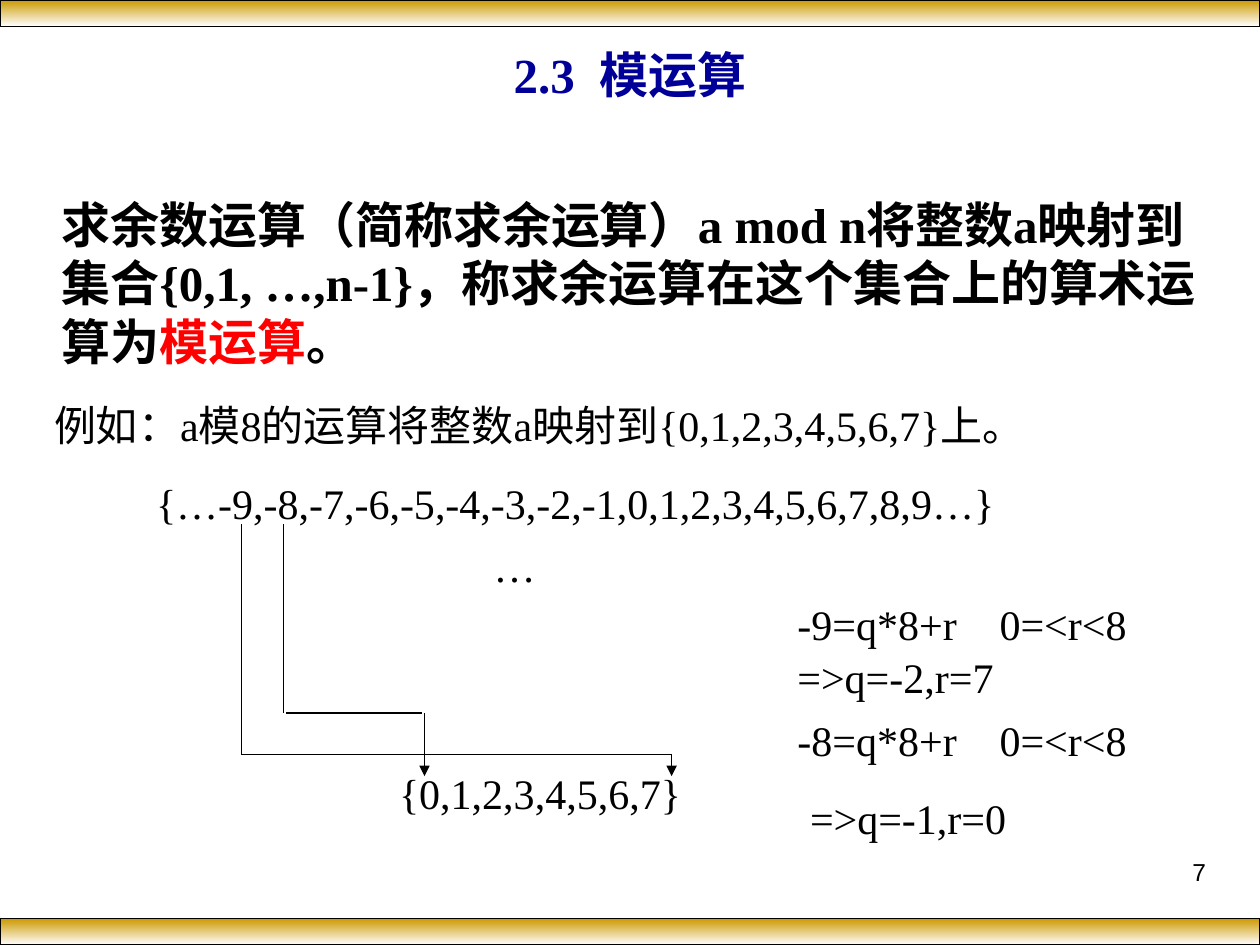
from lxml import etree
from pptx import Presentation
from pptx.dml.color import RGBColor
from pptx.enum.shapes import MSO_CONNECTOR, MSO_SHAPE
from pptx.enum.text import MSO_ANCHOR, MSO_AUTO_SIZE, PP_ALIGN
from pptx.oxml.ns import qn
from pptx.util import Pt

RECT = MSO_SHAPE.RECTANGLE
STRAIGHT = MSO_CONNECTOR.STRAIGHT
MIDDLE, TOP = MSO_ANCHOR.MIDDLE, MSO_ANCHOR.TOP
CENTER, LEFT, RIGHT = PP_ALIGN.CENTER, PP_ALIGN.LEFT, PP_ALIGN.RIGHT
NO_FIT = MSO_AUTO_SIZE.NONE

COLORS = {"gold": "CC9900", "white": "FFFFFF", "black": "000000",
          "title": "000099", "term": "FF0000"}
RGB = {name: RGBColor.from_string(code) for name, code in COLORS.items()}
SERIF = "Times New Roman"


def place(sp, x, y, w, h):
    sp.left, sp.top, sp.width, sp.height = Pt(x), Pt(y), Pt(w), Pt(h)


def style(p, size, color="black", bold=False, font=SERIF, align=LEFT):
    p.alignment = align
    for r in p.runs:
        r.font.name = font
        r.font.size = Pt(size)
        r.font.bold = bold
        r.font.color.rgb = RGB[color]


prs = Presentation()
prs.slide_width, prs.slide_height = Pt(720), Pt(540)
s = prs.slides.add_slide(prs.slide_layouts[1])

for y in (0, 524.9):
    sp = s.shapes.add_shape(RECT, 0, Pt(y), Pt(720), Pt(15.1))
    sp.shadow.inherit = False
    sp.fill.gradient()
    sp.fill.gradient_angle = 270
    for stop, name in zip(sp.fill.gradient_stops, ("gold", "white")):
        stop.color.rgb = RGB[name]
    sp.line.color.rgb = RGB["black"]
    sp.line.width = Pt(0.75)

title = s.shapes.title
place(title, 48.2, 12.2, 623.5, 59.8)
tf = title.text_frame
tf.text = "2.3  模运算"
tf.vertical_anchor = MIDDLE
tf.auto_size = NO_FIT
style(tf.paragraphs[0], 28, "title", True, align=CENTER)

body = s.placeholders[1]
place(body, 28.1, 107.3, 682.6, 108)
tf = body.text_frame
tf.text = ("求余数运算（简称求余运算）a mod n将整数a映射到\n"
           "集合{0,1, …,n-1}，称求余运算在这个集合上的算术运\n"
           "算为")
tf.word_wrap = True
tf.margin_right = 0
tf.auto_size = NO_FIT
tf.vertical_anchor = TOP
for text in ("模运算", "。"):
    tf.paragraphs[-1].add_run().text = text
for p in tf.paragraphs:
    pPr = p._p.get_or_add_pPr()
    pPr.set("marL", "0")
    pPr.set("indent", "0")
    etree.SubElement(pPr, qn("a:buNone"))
    p.space_before = Pt(0)
    style(p, 28, bold=True)
tf.paragraphs[-1].runs[1].font.color.rgb = RGB["term"]

texts = [
    ("例如：a模8的运算将整数a映射到{0,1,2,3,4,5,6,7}上。", 23.8, 224.6, 614.9),
    ("{…-9,-8,-7,-6,-5,-4,-3,-2,-1,0,1,2,3,4,5,6,7,8,9…}", 82.1, 269.6, 493.2),
    ("{0,1,2,3,4,5,6,7}", 221, 434.9, 175),
    ("…", 275, 305.6, 38.2),
    ("-9=q*8+r\t0=<r<8", 448.6, 338.7, 201.6),
    ("=>q=-2,r=7", 448.6, 368.6, 126.7),
    ("-8=q*8+r\t0=<r<8", 448.6, 404.6, 201.6),
    ("=>q=-1,r=0", 455.8, 449.6, 126.7),
]
for text, x, y, w in texts:
    tf = s.shapes.add_textbox(Pt(x), Pt(y), Pt(w), Pt(36)).text_frame
    tf.text = text
    tf.word_wrap = True
    tf.margin_right = 0
    p = tf.paragraphs[0]
    if "\t" in text:
        tabs = etree.SubElement(p._p.get_or_add_pPr(), qn("a:tabLst"))
        etree.SubElement(tabs, qn("a:tab"), pos=str(Pt(115.5)), algn="l")
    style(p, 24)

tf = s.shapes.add_textbox(Pt(516.2), Pt(486), Pt(180), Pt(37.4)).text_frame
tf.text = "7"
tf.word_wrap = True
style(tf.paragraphs[0], 14, font="Arial", align=RIGHT)

routes = [
    [(138.2, 299.5, 138.2, 431.3), (138.2, 431.3, 383.8, 431.3), (383.8, 431.3, 383.8, 443.5)],
    [(162, 299.5, 162, 407.5), (163.4, 407.5, 241.2, 407.5), (242.6, 407.5, 242.6, 443.5)],
]
for route in routes:
    for segment in route:
        line = s.shapes.add_connector(STRAIGHT, *map(Pt, segment))
        line.line.color.rgb = RGB["black"]
        line.line.width = Pt(0.75)
        etree.SubElement(line._element.spPr, qn("a:effectLst"))
    etree.SubElement(line.line._get_or_add_ln(), qn("a:tailEnd"), type="triangle")

prs.save("out.pptx")
